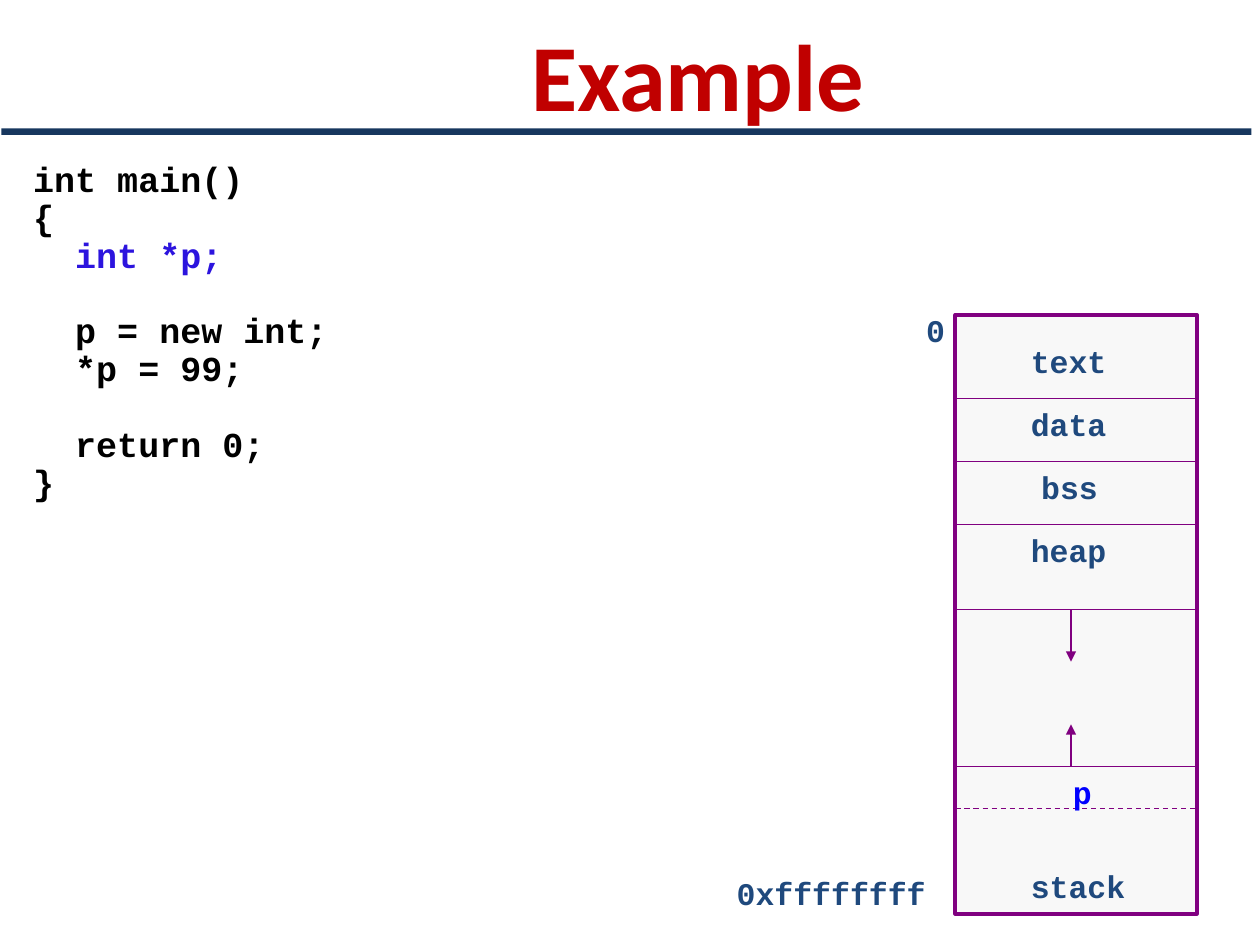
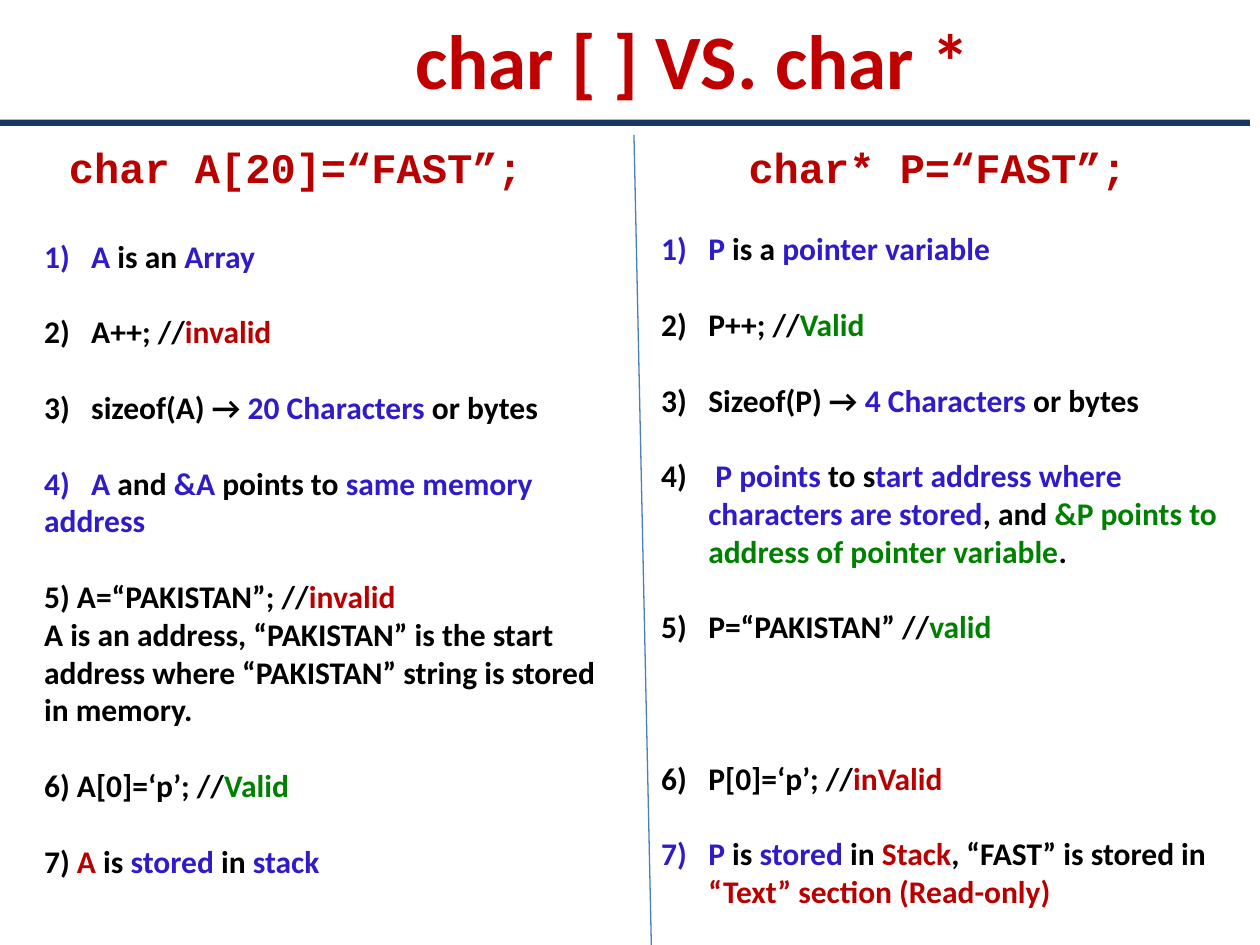
from dataclasses import dataclass
from typing import Optional

from lxml.etree import SubElement
from pptx import Presentation
from pptx.dml.color import RGBColor
from pptx.enum.dml import MSO_LINE
from pptx.enum.shapes import MSO_CONNECTOR, MSO_SHAPE
from pptx.enum.text import MSO_ANCHOR, PP_ALIGN
from pptx.oxml.ns import qn
from pptx.util import Cm, Pt


# Theme: every colour, font and type size
@dataclass(frozen=True)
class Theme:
    title: str = "C00000"
    bar: str = "17375E"
    black: str = "000000"
    declaration: str = "2C14DE"
    blue: str = "2F1BC7"
    red: str = "B80000"
    green: str = "008000"
    memory_line: str = "800080"
    memory_fill: str = "F8F8F8"
    memory_text: str = "1F497D"
    pointer: str = "0000FF"
    divider: str = "4B7EBC"
    sans: str = "Calibri"
    mono: str = "Courier New"
    code_pt: float = 20
    label_pt: float = 18
    heading_pt: float = 24
    list_pt: float = 18
    blank_line_pt: float = 21.6
    thin_pt: float = 0.75
    frame_pt: float = 2.25


T = Theme()


@dataclass(frozen=True)
class Run:
    text: str
    color: str = T.black


@dataclass(frozen=True)
class Para:
    runs: tuple[Run, ...]
    gap: int = 0  # empty lines above
    numbered: bool = False


@dataclass(frozen=True)
class Box:
    left: float
    top: float
    width: float
    height: float

    def lengths(self) -> tuple[Cm, Cm, Cm, Cm]:
        return Cm(self.left), Cm(self.top), Cm(self.width), Cm(self.height)


@dataclass(frozen=True)
class Label:
    text: str
    left: float
    top: float
    width: float = 3.3
    color: str = T.memory_text


@dataclass(frozen=True)
class Line:
    x1: float
    y1: float
    x2: float
    y2: float
    color: str = T.memory_line
    dashed: bool = False
    arrow: bool = False


def rgb(color: str) -> RGBColor:
    return RGBColor.from_string(color)


def number(p) -> None:
    """Give a paragraph a hanging 1) 2) 3) number."""
    pPr = p._p.get_or_add_pPr()
    pPr.set("marL", str(Cm(0.95)))
    pPr.set("indent", str(-Cm(0.95)))
    SubElement(pPr, qn("a:buFont"), typeface="+mj-lt")
    SubElement(pPr, qn("a:buAutoNum"), type="arabicParenR")


def add_text(s, box: Box, paras: list[Para], size: float, font: str,
             spacing: Optional[float] = None, align=PP_ALIGN.LEFT,
             anchor=MSO_ANCHOR.TOP) -> None:
    tf = s.shapes.add_textbox(*box.lengths()).text_frame
    tf.word_wrap = True
    tf.vertical_anchor = anchor
    for i, para in enumerate(paras):
        p = tf.add_paragraph() if i else tf.paragraphs[0]
        p.alignment = align
        if spacing:
            p.line_spacing = spacing
        if para.gap:
            p.space_before = Pt(para.gap * T.blank_line_pt)
        if para.numbered:
            number(p)
        for run in para.runs:
            r = p.add_run()
            r.text = run.text
            r.font.name = font
            r.font.size = Pt(size)
            r.font.bold = True
            r.font.color.rgb = rgb(run.color)


def add_rect(s, box: Box, fill: str, line: Optional[str] = None) -> None:
    sp = s.shapes.add_shape(MSO_SHAPE.RECTANGLE, *box.lengths())
    sp.shadow.inherit = False
    sp.fill.solid()
    sp.fill.fore_color.rgb = rgb(fill)
    if line:
        sp.line.color.rgb = rgb(line)
        sp.line.width = Pt(T.frame_pt)
    else:
        sp.line.fill.background()


def add_line(s, line: Line) -> None:
    cxn = s.shapes.add_connector(MSO_CONNECTOR.STRAIGHT, Cm(line.x1), Cm(line.y1),
                                 Cm(line.x2), Cm(line.y2))
    cxn.line.color.rgb = rgb(line.color)
    cxn.line.width = Pt(T.thin_pt)
    if line.dashed:
        cxn.line.dash_style = MSO_LINE.DASH
    if line.arrow:
        SubElement(cxn.line._get_or_add_ln(), qn("a:tailEnd"), type="triangle")
    SubElement(cxn._element.spPr, qn("a:effectLst"))


def add_label(s, label: Label) -> None:
    add_text(s, Box(label.left, label.top, label.width, 1.09),
             [Para((Run(label.text, label.color),))], T.label_pt, T.mono)


def new_slide(prs, title: str, title_box: Box, size: float, bar_left: float, bar_top: float):
    """Blank slide with the shared centred title and dark bar."""
    s = prs.slides.add_slide(prs.slide_layouts[6])
    add_text(s, title_box, [Para((Run(title, T.title),))], size, T.sans,
             align=PP_ALIGN.CENTER, anchor=MSO_ANCHOR.MIDDLE)
    add_rect(s, Box(bar_left, bar_top, 25.2, 0.13), T.bar)
    return s


# Slide 1: program and its memory layout
CODE = [
    Para((Run("int main()"),)),
    Para((Run("{"),)),
    Para((Run("  int *p;", T.declaration),)),
    Para((Run("  p = new int;"),), gap=1),
    Para((Run("  *p = 99;"),)),
    Para((Run("  return 0;"),), gap=1),
    Para((Run("}"),)),
]
MEMORY = Box(19.26, 6.35, 4.87, 12.07)
DATA, BSS, HEAP, HEAP_END, STACK, P_END = 8.04, 9.31, 10.58, 12.28, 15.45, 16.3
ARROW_X = 21.59
LABELS = [
    Label("0", 18.42, 6.15, 1.07),
    Label("0xffffffff", 14.6, 17.5, 4.75),
    Label("text", 20.53, 6.77),
    Label("data", 20.53, DATA),
    Label("bss", 20.74, BSS),
    Label("heap", 20.53, HEAP),
    Label("p", 21.38, STACK, 2.1, T.pointer),
    Label("stack", 20.53, 17.36),
]


def memory_slide(prs) -> None:
    s = new_slide(prs, "Example", Box(2.74, 0, 22.66, 2.97), 54, 0.03, 2.59)
    add_text(s, Box(0.42, 3.15, 24.98, 15.7), CODE, T.code_pt, T.mono, spacing=0.9)
    add_rect(s, MEMORY, T.memory_fill, T.memory_line)
    for y in (DATA, BSS, HEAP, HEAP_END, STACK, P_END):
        add_line(s, Line(MEMORY.left, y, MEMORY.left + MEMORY.width, y, dashed=y == P_END))
    # Heap grows down, stack grows up
    for start, end in ((HEAP_END, 13.34), (STACK, 14.6)):
        add_line(s, Line(ARROW_X, start, ARROW_X, end, arrow=True))
    for label in LABELS:
        add_label(s, label)


# Slide 2: array and pointer side by side
ARRAY_FACTS = [
    Para((Run("A", T.blue), Run(" is an "), Run("Array", T.blue)), numbered=True),
    Para((Run("A++; //"), Run("invalid", T.red)), 1, True),
    Para((Run("sizeof(A) → "), Run("20 Characters ", T.blue), Run("or bytes")), 1, True),
    Para((Run("A", T.blue), Run(" and "), Run("&A ", T.blue), Run("points to "),
          Run("same memory", T.blue)), 1, True),
    Para((Run("address", T.blue),)),
    Para((Run("5) A=“PAKISTAN”; //"), Run("invalid", T.red)), 1),
    Para((Run("A is an address, “PAKISTAN” is the start address where "
              "“PAKISTAN” string is stored in memory."),)),
    Para((Run("6) A[0]=‘p’; //"), Run("Valid", T.green)), 1),
    Para((Run("7) "), Run("A ", T.red), Run("is "), Run("stored", T.blue), Run(" in "),
          Run("stack", T.blue)), 1),
]
POINTER_FACTS = [
    Para((Run("P", T.blue), Run(" is a "), Run("pointer variable", T.blue)), numbered=True),
    Para((Run("P++; //"), Run("Valid", T.green)), 1, True),
    Para((Run("Sizeof(P) → "), Run("4 Characters ", T.blue), Run("or bytes")), 1, True),
    Para((Run(" "), Run("P points", T.blue), Run(" to s"),
          Run("tart address where characters are stored", T.blue), Run(", and "),
          Run("&P points to address of pointer variable", T.green), Run(".")), 1, True),
    Para((Run("P=“PAKISTAN” //"), Run("valid", T.green)), 1, True),
    Para((Run("P[0]=‘p’; //"), Run("inValid", T.red)), 3, True),
    Para((Run("P", T.blue), Run(" is "), Run("stored", T.blue), Run(" in "),
          Run("Stack", T.red), Run(", “FAST” is stored in "),
          Run("“Text” section (Read-only)", T.red)), 1, True),
]


@dataclass(frozen=True)
class Column:
    heading: str
    heading_left: float
    facts: list[Para]
    box: Box


COLUMNS = [
    Column("char A[20]=“FAST”;", 1.14, ARRAY_FACTS, Box(0.64, 4.65, 12.14, 13.34)),
    Column("char* P=“FAST”;", 14.84, POINTER_FACTS, Box(13.08, 4.5, 12.12, 14.5)),
]


def comparison_slide(prs) -> None:
    s = new_slide(prs, "char [ ] VS. char *", Box(2.54, -0.05, 22.86, 2.46), 44, 0, 2.41)
    add_line(s, Line(12.78, 2.72, 13.13, 19.05, T.divider))
    for column in COLUMNS:
        add_text(s, Box(column.heading_left, 2.72, 10.5, 1.32),
                 [Para((Run(column.heading, T.red),))], T.heading_pt, T.mono)
        add_text(s, column.box, column.facts, T.list_pt, T.sans)


def main() -> None:
    prs = Presentation()
    prs.slide_width, prs.slide_height = Cm(25.4), Cm(19.05)
    memory_slide(prs)
    comparison_slide(prs)
    prs.save("out.pptx")


if __name__ == "__main__":
    main()
